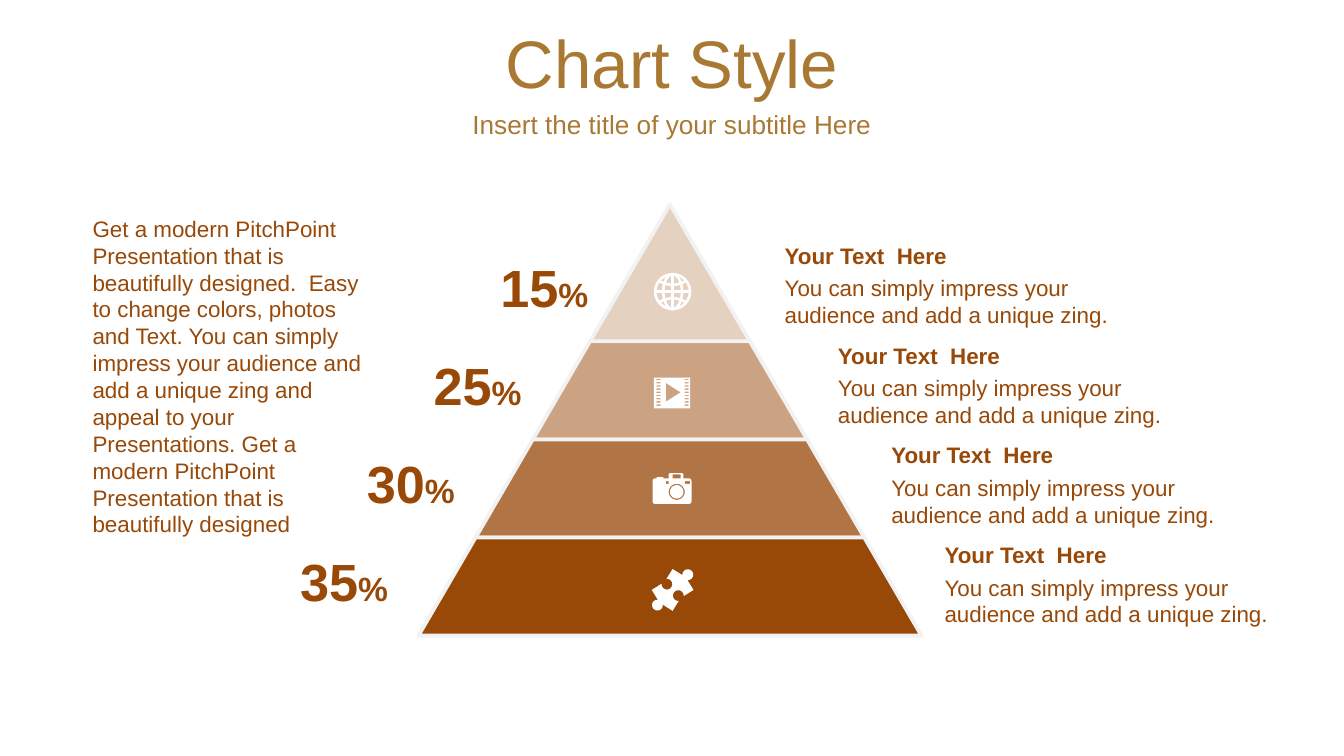
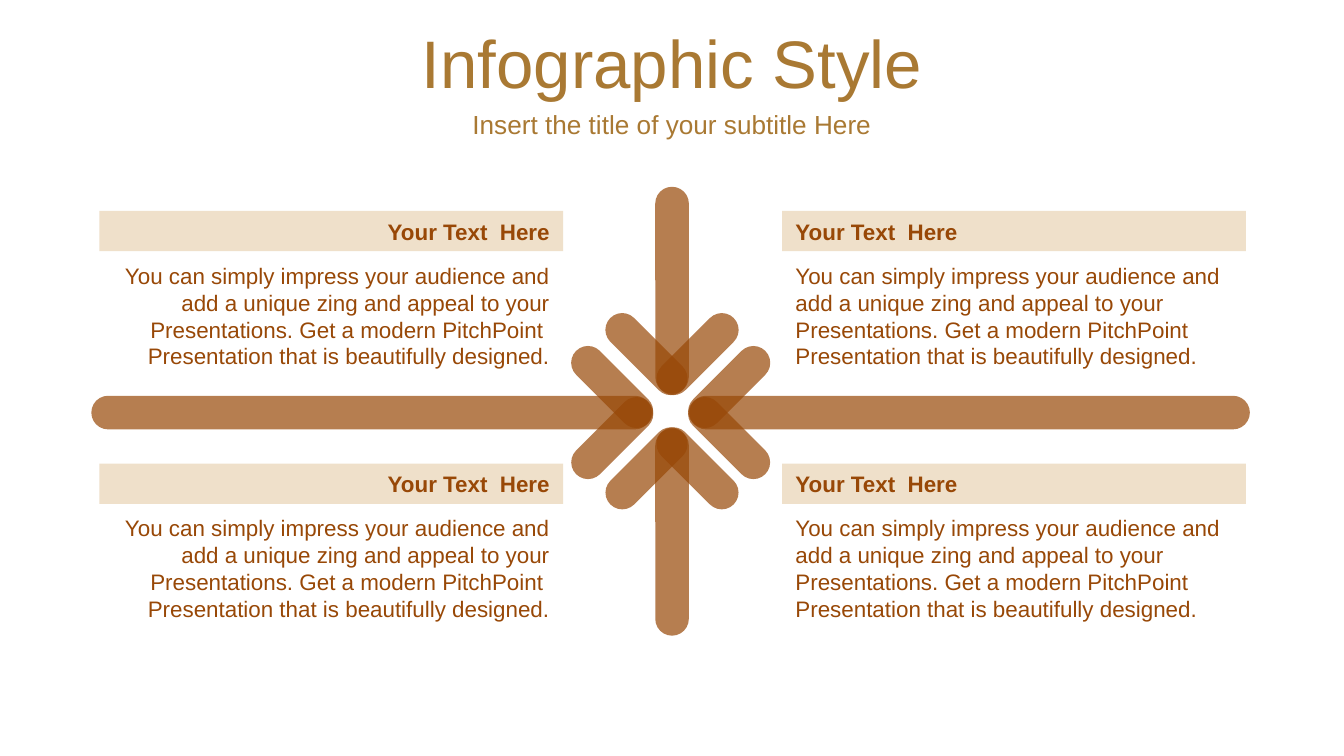
import math

import pptx
import pptx.dml.color
import pptx.enum.shapes
import pptx.enum.text
import pptx.oxml
import pptx.oxml.ns
import pptx.util

Inches = pptx.util.Inches
Kind = pptx.enum.shapes.MSO_SHAPE
Align = pptx.enum.text.PP_ALIGN
Anchor = pptx.enum.text.MSO_ANCHOR

FONT = "Arial"
COLORS = {
    "title": "A97933",
    "brown": "984807",
    "band": "EFE0CA",
    "edge": "F2F2F2",
    "white": "FFFFFF",
}
HEAD = "Your Text  Here"
SHORT = "You can simply impress your audience and add a unique zing."
LONG = (
    "You can simply impress your audience and add a unique zing and appeal to your "
    "Presentations. Get a modern PitchPoint  Presentation that is beautifully designed."
)
INTRO = (
    "Get a modern PitchPoint  Presentation that is beautifully designed.  Easy to change "
    "colors, photos and Text. You can simply impress your audience and add a unique zing "
    "and appeal to your Presentations. Get a modern PitchPoint  Presentation that is "
    "beautifully designed"
)
SLOPE = 0.583
TIERS = [(15, 25, 1.02), (25, 50, 0.73), (30, 75, 0.73), (35, 100, 0.73)]
THICK = 0.25
ARM = 0.76


def rgb(name):
    return pptx.dml.color.RGBColor.from_string(COLORS[name])


def style(run, size, color, bold=False):
    font = run.font
    font.name, font.size, font.bold = FONT, pptx.util.Pt(size), bold
    font.color.rgb = rgb(color)


def write(shape, text, size=12, color="brown", bold=False, align=Align.LEFT):
    frame = shape.text_frame
    frame.text = text
    frame.word_wrap = True
    para = frame.paragraphs[0]
    para.alignment = align
    style(para.runs[0], size, color, bold)
    return para


def label(slide, text, box, **look):
    shape = slide.shapes.add_textbox(*map(Inches, box))
    return write(shape, text, **look)


def paint(shape, fill=None, alpha=100, line=None, width=1):
    shape.shadow.inherit = False
    if fill:
        shape.fill.solid()
        shape.fill.fore_color.rgb = rgb(fill)
        if alpha < 100:
            tint = shape.fill._xPr.find(".//" + pptx.oxml.ns.qn("a:srgbClr"))
            node = pptx.oxml.parse_xml(
                f'<a:alpha {pptx.oxml.ns.nsdecls("a")} val="{alpha * 1000}"/>'
            )
            tint.append(node)
    else:
        shape.fill.background()
    if line:
        shape.line.color.rgb = rgb(line)
        shape.line.width = pptx.util.Pt(width)
    else:
        shape.line.fill.background()


def block(slide, kind, box, **look):
    shape = slide.shapes.add_shape(kind, *map(Inches, box))
    paint(shape, **look)
    return shape


def trace(slide, x, y, loops, close=True, **look):
    paths = [[(Inches(x + px), Inches(y + py)) for px, py in loop] for loop in loops]
    pen = slide.shapes.build_freeform(*paths[0][0], scale=1.0)
    for index, path in enumerate(paths):
        if index:
            pen.move_to(*path[0])
        pen.add_line_segments(path[1:], close=close)
    paint(pen.convert_to_shape(), **look)


def rect(x, y, w, h):
    return [(x, y), (x + w, y), (x + w, y + h), (x, y + h)]


def arc(x, y, r, start, end, count=24):
    turns = [math.radians(start + (end - start) * i / count) for i in range(count + 1)]
    return [(x + r * math.cos(t), y + r * math.sin(t)) for t in turns]


def globe(slide, x, y):
    look = {"line": "white", "width": 1.4}
    for w in (0.26, 0.14):
        block(slide, Kind.OVAL, (x - w / 2, y - 0.13, w, 0.26), **look)
    lines = [[(0, -0.13), (0, 0.13)], [(-0.13, 0), (0.13, 0)]]
    for side in (-1, 1):
        steps = [i / 6 for i in range(-6, 7)]
        lines.append([(0.1 * t, side * (0.05 + 0.03 * t * t)) for t in steps])
    trace(slide, x, y, lines, close=False, **look)


def film(slide, x, y):
    loops = [rect(-0.14, -0.11, 0.27, 0.23), [(-0.05, -0.07), (-0.05, 0.07), (0.06, 0)]]
    for row in range(9):
        for left in (-0.12, 0.09):
            loops.append(rect(left, -0.1 + row * 0.19 / 8, 0.03, 0.01))
    trace(slide, x, y, loops, fill="white")


def camera(slide, x, y):
    body = (
        arc(-0.13, 0.1, 0.02, 180, 90, 6)
        + arc(0.12, 0.1, 0.02, 90, 0, 6)
        + arc(0.12, -0.05, 0.02, 0, -90, 6)
        + [(0.08, -0.07), (0.08, -0.1), (0.07, -0.11), (-0.02, -0.11), (-0.03, -0.1)]
        + [(-0.03, -0.07), (-0.07, -0.07), (-0.07, -0.08), (-0.12, -0.08), (-0.12, -0.07)]
        + arc(-0.13, -0.05, 0.02, -90, -180, 6)
    )
    loops = [
        body,
        rect(0, -0.1, 0.06, 0.03),
        rect(-0.05, -0.05, 0.02, 0.02),
        rect(0.09, -0.05, 0.04, 0.02),
        arc(0.03, 0.03, 0.06, 0, 360),
        arc(0.03, 0.03, 0.05, 0, 360),
    ]
    trace(slide, x, y, loops, fill="white")


def puzzle(slide, x, y):
    path = []
    half = 0.11
    for turn, out in enumerate((1, -1, 1, -1)):
        angle = math.radians(-135 + 90 * turn)
        cos, sin = math.cos(angle), math.sin(angle)
        tab = arc(0, half + out * 0.05, 0.04, out * 230, out * -50)
        side = [(-half, half)] + tab
        path += [(px * cos + py * sin, px * sin - py * cos) for px, py in side]
    trace(slide, x, y, [path], fill="white")


def header(slide, title):
    sub = "Insert the title of your subtitle Here"
    rows = [(title, 0.14, 0.63, 36), (sub, 0.77, 0.31, 14)]
    for shape, (text, top, height, size) in zip(slide.placeholders, rows):
        shape.left, shape.top = Inches(0), Inches(top)
        shape.width, shape.height = Inches(10), Inches(height)
        write(shape, text, size, "title", align=Align.CENTER)
        shape.text_frame.auto_size = pptx.enum.text.MSO_AUTO_SIZE.NONE
        shape.text_frame.vertical_anchor = Anchor.MIDDLE


def pyramid(slide, x, y, w):
    mid = x + w / 2
    depth = 0
    for _, alpha, height in TIERS:
        base = 2 * SLOPE * (depth + height)
        box = (mid - base / 2, y + depth, base, height)
        tier = block(slide, Kind.TRAPEZOID, box, fill="brown", alpha=alpha,
                     line="edge", width=2)
        tier.adjustments[0] = SLOPE
        depth += height
    spots = [(globe, 0.65), (film, 1.4), (camera, 2.11), (puzzle, 2.87)]
    for draw, drop in spots:
        draw(slide, mid + 0.02, y + drop)


def shares(slide, x, y):
    for row, (value, _, _) in enumerate(TIERS):
        box = (x - row * 1.49 / 3, y + row * 0.73, 1.1, 0.57)
        para = label(slide, str(value), box, size=28, bold=True, align=Align.CENTER)
        sign = para.add_run()
        sign.text = "%"
        style(sign, 18, "brown", True)


def notes(slide, x, y):
    for row in range(len(TIERS)):
        left, top = x + row * 1.19 / 3, y + row * 2.23 / 3
        label(slide, SHORT, (left, top + 0.24, 2.64, 0.5))
        label(slide, HEAD, (left, top, 2.64, 0.3), bold=True)


def bar(slide, x, y, length, angle):
    box = (x - length / 2, y - THICK / 2, length, THICK)
    shape = block(slide, Kind.ROUNDED_RECTANGLE, box, fill="brown", alpha=70)
    shape.adjustments[0] = 0.5
    shape.rotation = angle % 180


def arrow(slide, x, y, length, angle):
    turn = math.radians(angle)
    dx, dy = math.cos(turn), math.sin(turn)
    bar(slide, x + dx * length / 2, y + dy * length / 2, length, angle)
    back, out = THICK / 2 + 0.17, 0.19
    for side in (-1, 1):
        left = x + dx * back - dy * out * side
        top = y + dy * back + dx * out * side
        bar(slide, left, top, ARM, angle + 45 * side)


def card(slide, x, y, align):
    label(slide, LONG, (x, y + 0.33, 3.45, 0.91), align=align)
    band = block(slide, Kind.RECTANGLE, (x, y, 3.45, 0.3), fill="band")
    write(band, HEAD, bold=True, align=align)


def chart(slide):
    header(slide, "Chart Style")
    pyramid(slide, 3.11, 1.52, 3.75)
    shares(slide, 3.5, 1.85)
    notes(slide, 5.74, 1.75)
    label(slide, INTRO, (0.59, 1.55, 2.21, 2.52))


def cross(slide):
    header(slide, "Infographic Style")
    arrow(slide, 4.85, 3.07, 4.17, 180)
    arrow(slide, 5.13, 3.07, 4.17, 0)
    arrow(slide, 5, 3.19, 1.54, 90)
    arrow(slide, 5, 2.93, 1.54, 270)
    for top in (1.57, 3.45):
        card(slide, 0.74, top, Align.RIGHT)
        card(slide, 5.82, top, Align.LEFT)


def main():
    deck = pptx.Presentation()
    deck.slide_width = Inches(10)
    deck.slide_height = deck.slide_width * 9 // 16
    for build in (chart, cross):
        build(deck.slides.add_slide(deck.slide_layouts[0]))
    deck.save("out.pptx")


if __name__ == "__main__":
    main()
